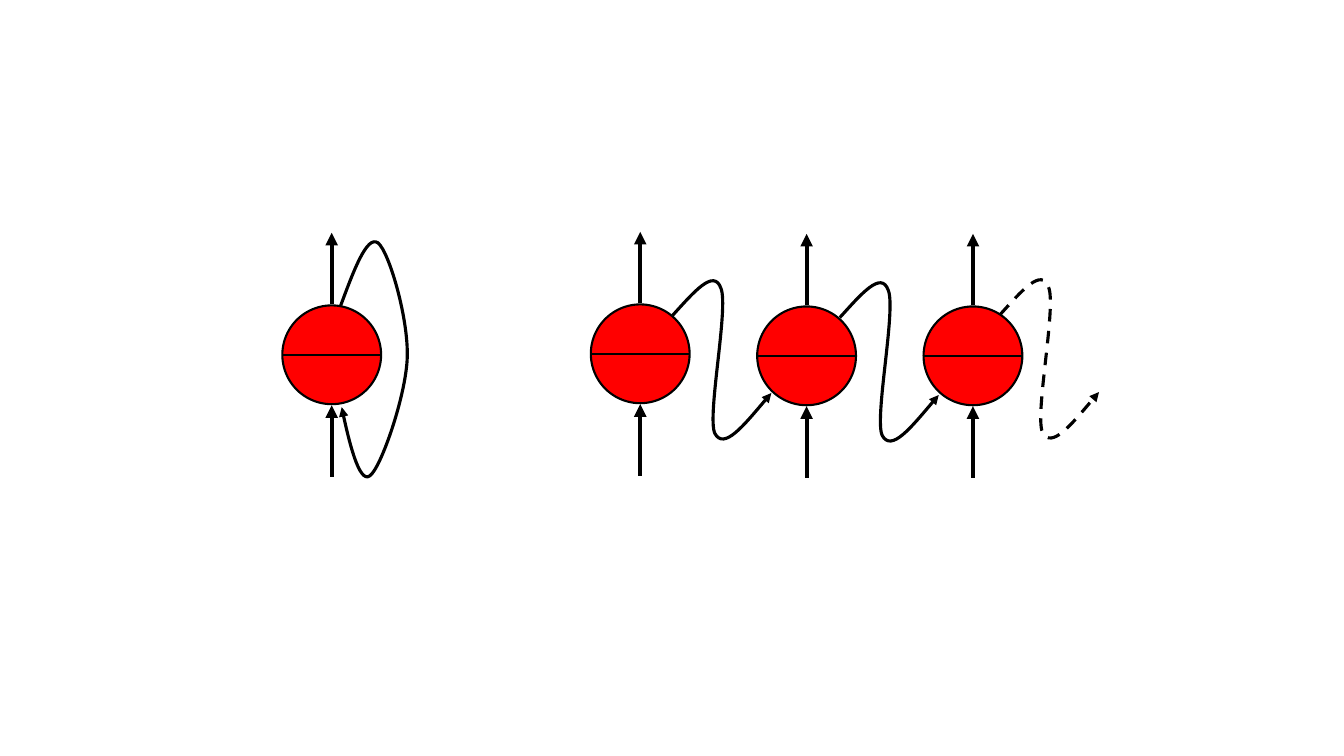
from lxml import etree
from pptx import Presentation
from pptx import util as u
from pptx.dml.color import RGBColor
from pptx.enum import dml, shapes
from pptx.oxml.ns import qn

COLORS = {"neuron": "FF0000", "ink": "000000"}

# Neuron measures, in inches from the centre
RADIUS = 0.49
ARROW_NEAR, ARROW_FAR = 0.5, 1.21

# Recurrent links: box size, then start and Bezier points from the box corner
SELF_LOOP = ((0.66, 2.33), [
    (0, 0.63), (0.13, 0.28), (0.26, -0.07), (0.37, 0.01),
    (0.48, 0.1), (0.67, 0.75), (0.66, 1.14),
    (0.65, 1.52), (0.4, 2.24), (0.29, 2.32),
    (0.18, 2.41), (0.04, 1.8), (0.01, 1.64)])
STEP_LINK = ((0.98, 1.57), [
    (0, 0.35), (0.21, 0.12), (0.41, -0.12), (0.48, 0.08),
    (0.56, 0.27), (0.34, 1.35), (0.42, 1.52),
    (0.51, 1.69), (0.74, 1.4), (0.98, 1.12)])


def set_line(shape, width, arrow=False):
    shape.line.color.rgb = RGBColor.from_string(COLORS["ink"])
    shape.line.width = u.Pt(width)
    if arrow:
        etree.SubElement(shape.line._get_or_add_ln(), qn("a:tailEnd"), type="triangle")


def add_line(page, start, end, width, arrow=False):
    line = page.shapes.add_connector(
        shapes.MSO_CONNECTOR.STRAIGHT, *(u.Inches(v) for v in (*start, *end)))
    set_line(line, width, arrow)
    etree.SubElement(line._element.spPr, qn("a:effectLst"))


def add_neuron(page, x, y):
    """Draw a halved circle with an input and an output arrow."""
    circle = page.shapes.add_shape(
        shapes.MSO_SHAPE.OVAL, u.Inches(x - RADIUS), u.Inches(y - RADIUS),
        u.Inches(2 * RADIUS), u.Inches(2 * RADIUS))
    circle.shadow.inherit = False
    circle.fill.solid()
    circle.fill.fore_color.rgb = RGBColor.from_string(COLORS["neuron"])
    set_line(circle, 1.5)
    add_line(page, (x + RADIUS, y), (x - RADIUS, y), 1.5)
    add_line(page, (x, y + ARROW_FAR), (x, y + ARROW_NEAR), 3, arrow=True)
    add_line(page, (x, y - ARROW_NEAR), (x, y - ARROW_FAR), 3, arrow=True)


def add_curve(page, left, top, link, dashed=False):
    """Draw a smooth arrow through cubic Bezier segments."""
    (width, height), points = link
    builder = page.shapes.build_freeform(0, 0)
    builder.add_line_segments([(u.Inches(width), u.Inches(height))], close=False)
    curve = builder.convert_to_shape(u.Inches(left), u.Inches(top))
    curve.shadow.inherit = False
    curve.fill.background()

    # Replace the straight segment with the Bezier segments
    outline = next(curve._element.iter(qn("a:path")))
    for command in list(outline):
        outline.remove(command)
    segments = [points[i:i + 3] for i in range(1, len(points), 3)]
    for segment in [points[:1], *segments]:
        tag = "a:moveTo" if len(segment) == 1 else "a:cubicBezTo"
        command = etree.SubElement(outline, qn(tag))
        for x, y in segment:
            etree.SubElement(command, qn("a:pt"), x=str(u.Inches(x)), y=str(u.Inches(y)))

    set_line(curve, 2.25, arrow=True)
    if dashed:
        curve.line.dash_style = dml.MSO_LINE.DASH


def main():
    deck = Presentation()
    deck.slide_width, deck.slide_height = u.Inches(13.33), u.Inches(7.5)
    page = deck.slides.add_slide(deck.slide_layouts[6])

    # Folded network: one neuron feeding itself
    add_neuron(page, 3.29, 3.52)
    add_curve(page, 3.38, 2.4, SELF_LOOP)

    # Unfolded network: one neuron per time step
    for x, y in [(6.35, 3.51), (8, 3.53), (9.65, 3.53)]:
        add_neuron(page, x, y)
    for left, top, dashed in [(6.67, 2.78, False), (8.33, 2.8, False), (9.92, 2.77, True)]:
        add_curve(page, left, top, STEP_LINK, dashed)

    deck.save("out.pptx")


if __name__ == "__main__":
    main()
